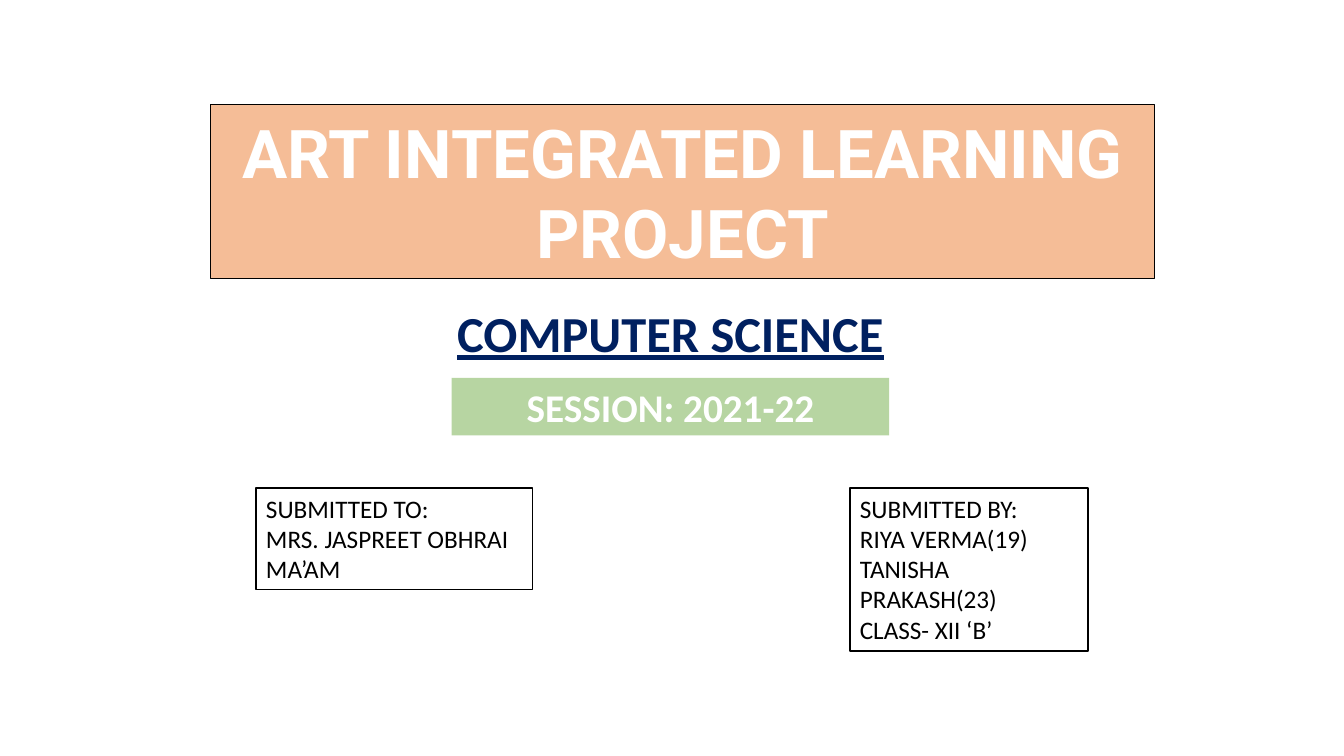
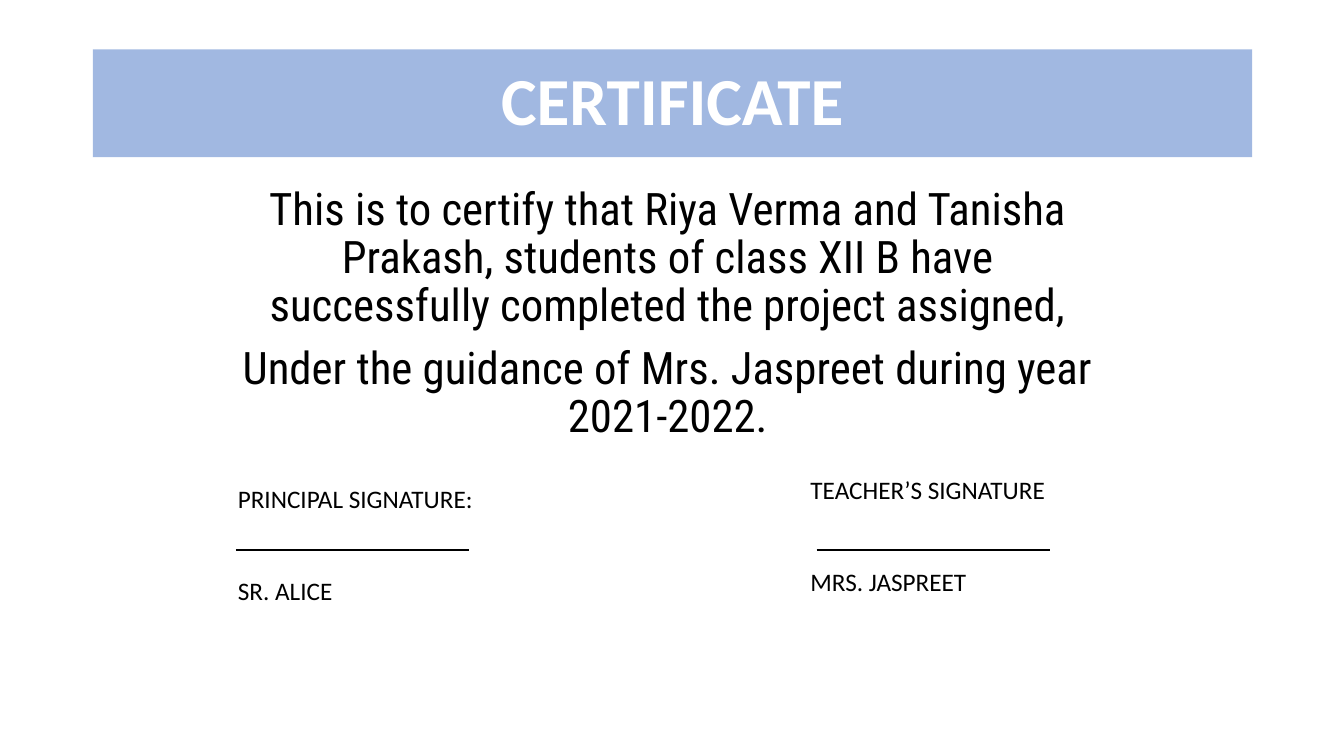
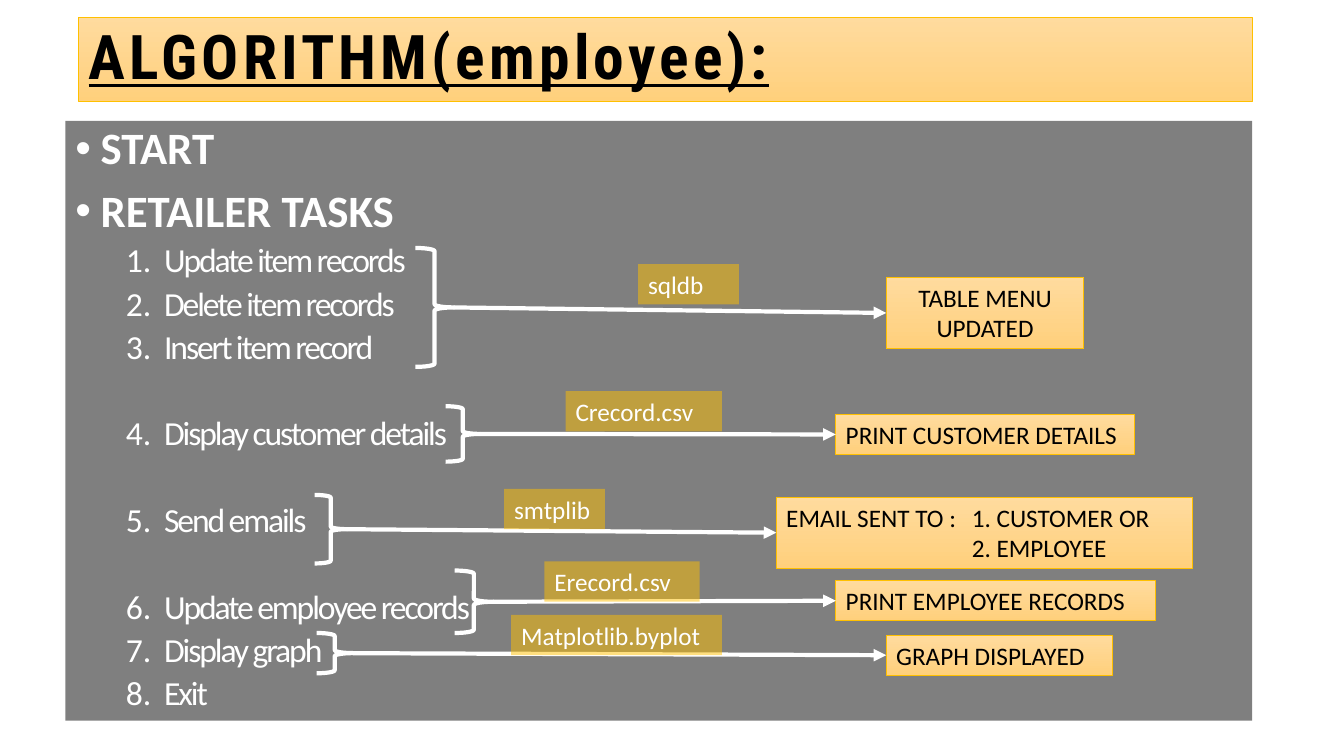
"""Builds a three-slide school project deck: cover, certificate and algorithm."""
from lxml import etree
from pptx import Presentation
from pptx.dml.color import RGBColor
from pptx.enum.shapes import MSO_CONNECTOR, MSO_SHAPE
from pptx.enum.text import MSO_ANCHOR, MSO_AUTO_SIZE, PP_ALIGN
from pptx.oxml.ns import qn
from pptx.util import Inches, Pt

RECTANGLE, BRACE = MSO_SHAPE.RECTANGLE, MSO_SHAPE.RIGHT_BRACE
STRAIGHT = MSO_CONNECTOR.STRAIGHT
LEFT, CENTER = PP_ALIGN.LEFT, PP_ALIGN.CENTER
TOP, MIDDLE = MSO_ANCHOR.TOP, MSO_ANCHOR.MIDDLE
FIXED = MSO_AUTO_SIZE.NONE
LEFT_SIDE = 1

BLACK = RGBColor(0x00, 0x00, 0x00)
WHITE = RGBColor(0xFF, 0xFF, 0xFF)
NAVY = RGBColor(0x00, 0x20, 0x60)
ORANGE = RGBColor(0xED, 0x7D, 0x31)
GREEN = RGBColor(0x70, 0xAD, 0x47)
BLUE = RGBColor(0x44, 0x72, 0xC4)
GOLD = RGBColor(0xFF, 0xC0, 0x00)
PALE_GOLD = RGBColor(0xFF, 0xDB, 0x9E)
WARM_GOLD = RGBColor(0xFF, 0xD0, 0x7C)

SUBMISSIONS = [
    ((2.54, 4.84, 2.74, 1.01), ["SUBMITTED TO:", "MRS. JASPREET OBHRAI MA’AM"]),
    ((8.43, 4.84, 2.36, 1.62),
     ["SUBMITTED BY:", "RIYA VERMA(19)", "TANISHA PRAKASH(23)", "CLASS- XII ‘B’"]),
]

CERTIFICATE = [
    "This is to certify that Riya Verma and Tanisha Prakash, students of class XII B "
    "have successfully completed the project assigned,",
    "Under the guidance of Mrs. Jaspreet during year 2021-2022.",
]
SIGNATURES = [
    ((2.26, 4.75, 2.78, 1.31), 2.34, "PRINCIPAL SIGNATURE:", "SR. ALICE"),
    ((7.94, 4.66, 3.06, 1.31), 8.1, "TEACHER’S SIGNATURE", "MRS. JASPREET"),
]
SIGNATURE_Y, SIGNATURE_WIDTH, SIGNATURE_GAP = 5.46, 2.31, 43.5

HEADINGS = ["START", "RETAILER TASKS"]
TASK_GROUPS = [
    ["Update item records", "Delete item records", "Insert item record"],
    ["Display customer details"],
    ["Send emails"],
    ["Update employee records", "Display graph", "Exit"],
]
TASK_GAP, GROUP_GAP = 5, 36

FLOWS = [
    ((4.12, 2.46, 0.38, 1.18), "sqldb", (6.33, 2.62, 1.0),
     ["TABLE MENU UPDATED"], (8.79, 2.75, 1.96, 0.71), CENTER),
    ((4.42, 4.03, 0.34, 0.55), "Crecord.csv", (5.61, 3.88, 1.55),
     ["PRINT CUSTOMER DETAILS"], (8.29, 4.11, 2.96, 0.4), LEFT),
    ((3.12, 4.91, 0.32, 0.68), "smtplib", (5.0, 4.85, 1.0),
     ["EMAIL SENT TO :\t1. CUSTOMER OR", "\t2. EMPLOYEE"], (7.7, 4.93, 4.13, 0.71), LEFT),
    ((4.51, 5.66, 0.38, 0.62), "Erecord.csv", (5.4, 5.57, 1.54),
     ["PRINT EMPLOYEE RECORDS"], (8.29, 5.76, 3.17, 0.4), LEFT),
    ((3.14, 6.28, 0.36, 0.4), "Matplotlib.byplot", (5.07, 6.1, 2.09),
     ["GRAPH DISPLAYED"], (8.79, 6.3, 2.24, 0.4), LEFT),
]
LABEL_HEIGHT, RECIPIENT_TAB = 0.4, 1.84


def inches(values):
    return [Inches(value) for value in values]


def add_para(frame, text, size=18, color=BLACK, font="Calibri", bold=False,
             underline=False, align=LEFT, leading=1.0, before=0, tracking=0):
    first = frame.paragraphs[0]
    para = frame.add_paragraph() if first.runs else first
    para.alignment, para.line_spacing, para.space_before = align, leading, Pt(before)
    span = para.add_run()
    span.text = text
    span.font.name, span.font.size, span.font.bold = font, Pt(size), bold
    span.font.underline = underline
    span.font.color.rgb = color
    if tracking:
        span.font._element.set("spc", str(int(tracking * 100)))
    return para


def write(box, lines, anchor=TOP, **style):
    frame = box.text_frame
    frame.word_wrap, frame.auto_size, frame.vertical_anchor = True, FIXED, anchor
    return [add_para(frame, line, **style) for line in lines]


def fill_half(box, color):
    box.fill.solid()
    box.fill.fore_color.rgb = color
    tint = box.fill._xPr.find(qn("a:solidFill"))[0]
    etree.SubElement(tint, qn("a:alpha"), val="50000")


def outline(box, color, width):
    box.line.color.rgb = color
    box.line.width = Pt(width)


def fill_gold(box):
    box.fill.gradient()
    box.fill.gradient_angle = 270
    for stop, color in zip(box.fill.gradient_stops, (PALE_GOLD, WARM_GOLD)):
        stop.color.rgb = color
    outline(box, GOLD, 0.5)


def add_box(page, place, preset=RECTANGLE):
    box = page.shapes.add_shape(preset, *inches(place))
    box.shadow.inherit = False
    box.fill.background()
    box.line.fill.background()
    return box


def add_line(page, ends, color, width):
    line = page.shapes.add_connector(STRAIGHT, *inches(ends))
    outline(line, color, width)
    etree.SubElement(line._element.spPr, qn("a:effectLst"))
    return line


def add_bullet(para, margin, hang, tag, **attributes):
    props = para._p.get_or_add_pPr()
    props.set("marL", str(Inches(margin)))
    props.set("indent", str(-Inches(hang)))
    etree.SubElement(props, qn("a:buFont"), typeface="Arial" if tag == "a:buChar" else "+mj-lt")
    etree.SubElement(props, qn(tag), **attributes)


def add_page(deck, title, place, **style):
    page = deck.slides.add_slide(deck.slide_layouts[5])
    band = page.shapes.title
    band.left, band.top, band.width, band.height = inches(place)
    write(band, [title], anchor=MIDDLE, bold=True, **style)
    return page, band


def build_cover(deck):
    page, band = add_page(deck, "ART INTEGRATED LEARNING PROJECT", (2.09, 1.04, 9.36, 1.72),
                          size=48, color=WHITE, font="Roboto", align=CENTER)
    fill_half(band, ORANGE)
    outline(band, BLACK, 0.75)
    subject = page.shapes.add_textbox(*inches((2.81, 2.95, 7.68, 0.71)))
    write(subject, ["COMPUTER SCIENCE"], size=36, color=NAVY, bold=True,
          underline=True, align=CENTER)
    for place, lines in SUBMISSIONS:
        box = add_box(page, place)
        box.fill.solid()
        box.fill.fore_color.rgb = WHITE
        outline(box, BLACK, 1)
        write(box, lines)
    session = add_box(page, (4.48, 3.75, 4.34, 0.57))
    fill_half(session, GREEN)
    write(session, ["SESSION: 2021-22"], size=28, color=WHITE, bold=True, align=CENTER)


def build_certificate(deck):
    page, band = add_page(deck, "CERTIFICATE", (0.92, 0.49, 11.5, 1.07),
                          size=48, color=WHITE, align=CENTER, leading=0.9)
    fill_half(band, BLUE)
    body = page.shapes.add_textbox(*inches((2.24, 1.8, 8.77, 2.8)))
    write(body, CERTIFICATE, size=32, font="Roboto Condensed", align=CENTER,
          leading=0.9, before=10)
    for place, line_left, role, name in SIGNATURES:
        box = page.shapes.add_textbox(*inches(place))
        write(box, [role])
        add_para(box.text_frame, name, before=SIGNATURE_GAP)
        add_line(page, (line_left, SIGNATURE_Y, line_left + SIGNATURE_WIDTH, SIGNATURE_Y),
                 BLACK, 1.5)


def add_tasks(page):
    panel = add_box(page, (0.65, 1.2, 11.77, 5.95))
    fill_half(panel, BLACK)
    for para in write(panel, HEADINGS, size=32, color=WHITE, bold=True, leading=0.9, before=10):
        add_bullet(para, 0.25, 0.25, "a:buChar", char="•")
    for group_index, group in enumerate(TASK_GROUPS):
        for task_index, task in enumerate(group):
            starts_gap = group_index > 0 and task_index == 0
            para = add_para(panel.text_frame, task, size=24, color=WHITE, leading=0.9,
                            before=GROUP_GAP if starts_gap else TASK_GAP, tracking=-1.5)
            para.level = 1
            add_bullet(para, 0.88, 0.38, "a:buAutoNum", type="arabicPeriod")


def add_flow(page, brace_place, result, result_place, align):
    brace = add_box(page, brace_place, BRACE)
    outline(brace, WHITE, 3)
    box = add_box(page, result_place)
    fill_gold(box)
    for para in write(box, result, align=align):
        if "\t" in para.text:
            tabs = etree.SubElement(para._p.get_or_add_pPr(), qn("a:tabLst"))
            etree.SubElement(tabs, qn("a:tab"), pos=str(Inches(RECIPIENT_TAB)), algn="l")
    left, top, width, height = brace_place
    tip_x, tip_y = left + width, top + height / 2
    arrow = add_line(page, (tip_x, tip_y, result_place[0], tip_y), WHITE, 3)
    arrow.end_connect(box, LEFT_SIDE)
    etree.SubElement(arrow.line._get_or_add_ln(), qn("a:tailEnd"), type="triangle")


def build_algorithm(deck):
    page, band = add_page(deck, "ALGORITHM(employee):", (0.78, 0.17, 11.64, 0.84),
                          size=44, font="Roboto Condensed", underline=True,
                          leading=0.9, tracking=3)
    fill_gold(band)
    add_tasks(page)
    for brace_place, label, label_place, result, result_place, align in FLOWS:
        add_flow(page, brace_place, result, result_place, align)
        tag = add_box(page, (*label_place, LABEL_HEIGHT))
        fill_half(tag, GOLD)
        write(tag, [label], color=WHITE)


def main():
    deck = Presentation()
    deck.slide_width, deck.slide_height = Inches(13.33), Inches(7.5)
    build_cover(deck)
    build_certificate(deck)
    build_algorithm(deck)
    deck.save("out.pptx")


if __name__ == "__main__":
    main()
